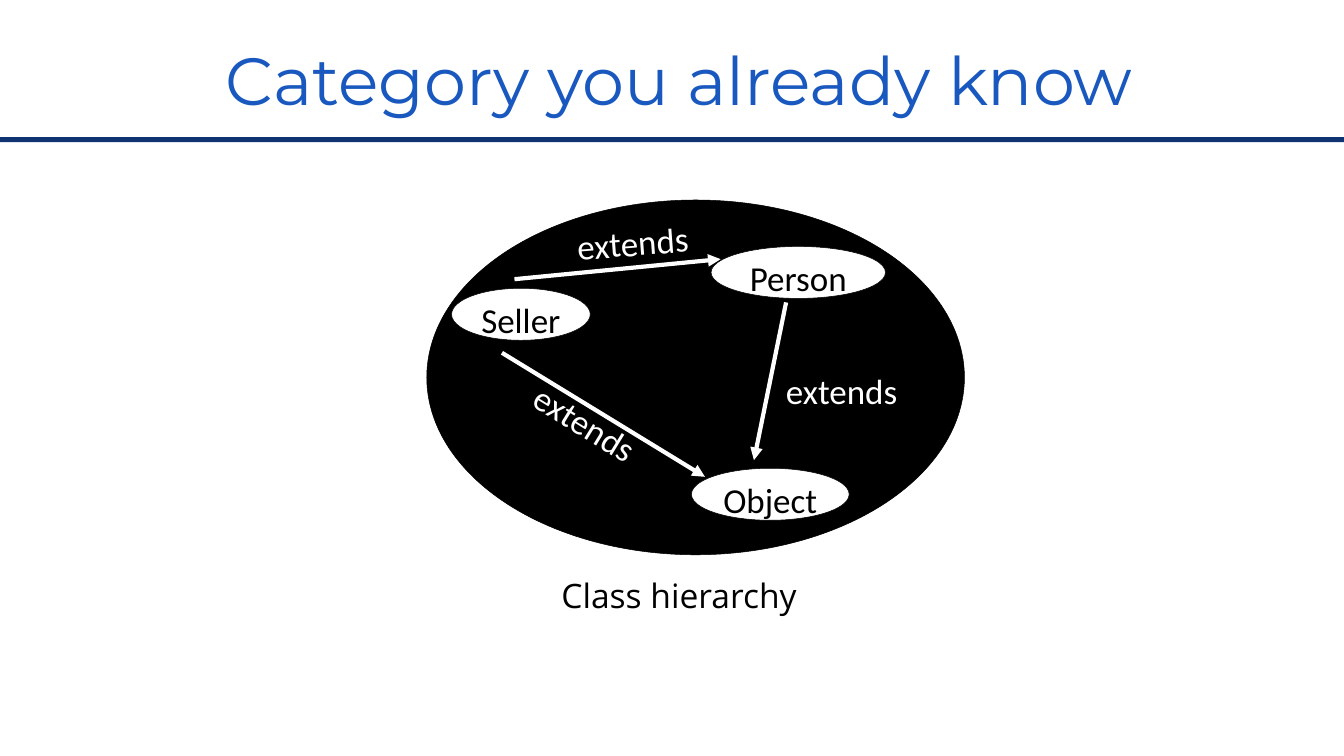
from dataclasses import dataclass

from lxml import etree
from pptx import Presentation
from pptx.dml.color import RGBColor
from pptx.enum.shapes import MSO_CONNECTOR, MSO_SHAPE
from pptx.enum.text import MSO_ANCHOR, PP_ALIGN
from pptx.oxml.ns import qn
from pptx.util import Cm, Pt

RECTANGLE = MSO_SHAPE.RECTANGLE
OVAL = MSO_SHAPE.OVAL
STRAIGHT = MSO_CONNECTOR.STRAIGHT
CENTER = PP_ALIGN.CENTER
TOP = MSO_ANCHOR.TOP
MIDDLE = MSO_ANCHOR.MIDDLE


@dataclass(frozen=True)
class TextStyle:
    font: str
    size: float
    color: RGBColor


@dataclass(frozen=True)
class Theme:
    black = RGBColor(0x00, 0x00, 0x00)
    white = RGBColor(0xFF, 0xFF, 0xFF)
    navy = RGBColor(0x0F, 0x34, 0x71)
    title = TextStyle("Montserrat", 95.4, RGBColor(0x19, 0x58, 0xBF))
    caption = TextStyle("Open Sans", 48, black)
    member = TextStyle("Calibri", 50, black)
    relation = TextStyle("Calibri", 50, white)
    outline_width = 0.75
    arrow_width = 6


THEME = Theme()
PAGE_WIDTH, PAGE_HEIGHT = 67.74, 38.1
MEMBER_HEIGHT = 2.62
LABEL_HEIGHT = 2.39

MEMBERS = [
    ("Seller", 22.76, 14.53, 6.99),
    ("Person", 35.84, 12.42, 8.79),
    ("Object", 34.85, 23.6, 7.95),
]
RELATION_LABELS = [
    (28.73, 11.02, 6.32, 355.7),
    (39.32, 18.49, 6.2, 0),
    (26.39, 20.12, 6.2, 31.6),
]
ARROWS = [
    (25.93, 14.07, 36.32, 13.06),
    (39.62, 15.24, 38, 23.19),
    (25.3, 17.78, 35.53, 24.03),
]


def lengths(*values):
    return [Cm(value) for value in values]


def write_text(shape, text, style, anchor=TOP):
    frame = shape.text_frame
    frame.text = text
    frame.word_wrap = True
    frame.vertical_anchor = anchor
    paragraph = frame.paragraphs[0]
    paragraph.alignment = CENTER
    span = paragraph.runs[0]
    span.font.name = style.font
    span.font.size = Pt(style.size)
    span.font.color.rgb = style.color


def add_text(page, text, place, style, anchor=TOP, rotation=0):
    box = page.shapes.add_textbox(*lengths(*place))
    box.rotation = rotation
    write_text(box, text, style, anchor)


def add_filled(page, kind, place, color, outline=None):
    shape = page.shapes.add_shape(kind, *lengths(*place))
    shape.shadow.inherit = False
    shape.fill.solid()
    shape.fill.fore_color.rgb = color
    if outline is None:
        shape.line.fill.background()
    else:
        shape.line.color.rgb = outline
        shape.line.width = Pt(THEME.outline_width)
    return shape


def add_arrow(page, ends):
    arrow = page.shapes.add_connector(STRAIGHT, *lengths(*ends))
    arrow.line.color.rgb = THEME.white
    arrow.line.width = Pt(THEME.arrow_width)
    etree.SubElement(arrow.line._get_or_add_ln(), qn("a:tailEnd"), type="triangle")
    etree.SubElement(arrow._element.spPr, qn("a:effectLst"))


def main():
    deck = Presentation()
    deck.slide_width, deck.slide_height = lengths(PAGE_WIDTH, PAGE_HEIGHT)
    page = deck.slides.add_slide(deck.slide_layouts[6])

    add_filled(page, RECTANGLE, (0, 6.91, PAGE_WIDTH, 0.25), THEME.navy)
    add_text(page, "Category you already know", (9.98, 0.38, 48.49, 7.16),
             THEME.title, MIDDLE)
    add_filled(page, OVAL, (21.51, 10.08, 27.1, 17.88), THEME.black, THEME.black)

    for left, top, width, rotation in RELATION_LABELS:
        add_text(page, "extends", (left, top, width, LABEL_HEIGHT),
                 THEME.relation, rotation=rotation)
    for ends in ARROWS:
        add_arrow(page, ends)

    add_text(page, "Class hierarchy", (12.55, 28.83, 43.36, 2.51), THEME.caption)

    for name, left, top, width in MEMBERS:
        oval = add_filled(page, OVAL, (left, top, width, MEMBER_HEIGHT),
                          THEME.white, THEME.black)
        write_text(oval, name, THEME.member)

    deck.save("out.pptx")


if __name__ == "__main__":
    main()
